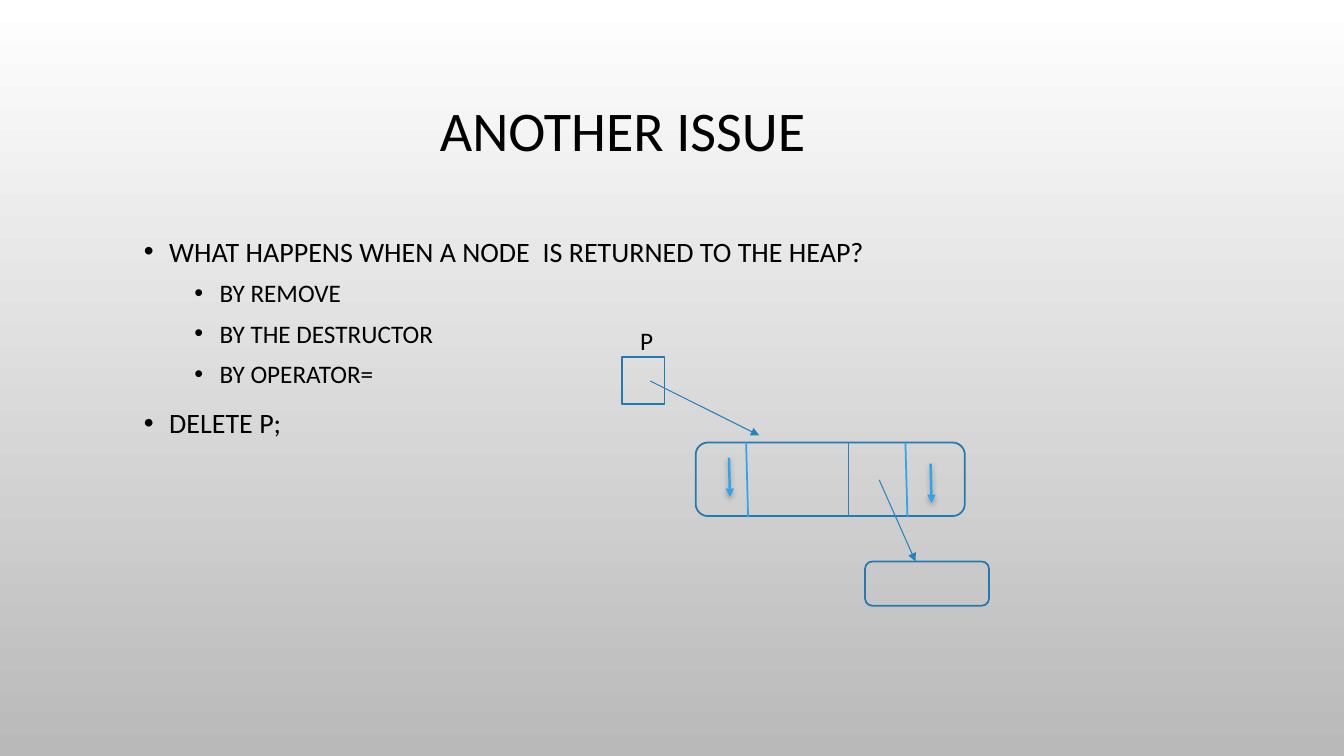
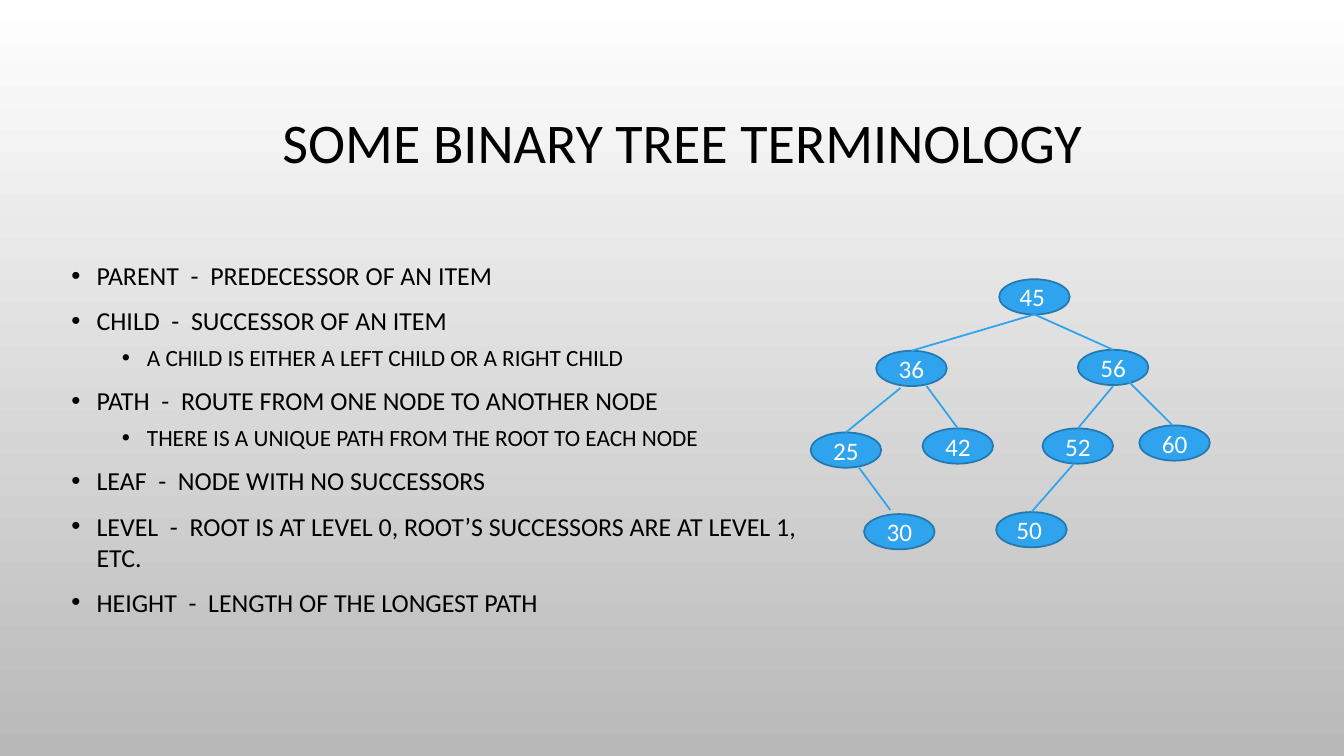
from lxml import etree
from pptx import Presentation
from pptx.dml.color import RGBColor
from pptx.enum.shapes import MSO_CONNECTOR, MSO_SHAPE
from pptx.enum.text import MSO_ANCHOR, PP_ALIGN
from pptx.oxml.ns import qn
from pptx.util import Inches, Pt

LINE = MSO_CONNECTOR.STRAIGHT
OVAL, BOX, ROUNDED = MSO_SHAPE.OVAL, MSO_SHAPE.RECTANGLE, MSO_SHAPE.ROUNDED_RECTANGLE
MIDDLE, TOP = MSO_ANCHOR.MIDDLE, MSO_ANCHOR.TOP
LEFT, CENTER = PP_ALIGN.LEFT, PP_ALIGN.CENTER

FONT = "Calibri"
BLACK, WHITE, GREY = "000000", "FFFFFF", "B9B9B9"
BLUE, OUTLINE, POINTER = "2FA3EE", "2379B0", "2683BF"
NODE_WIDTH, NODE_HEIGHT = 0.7, 0.35

# Each item is (level, text)
ISSUE_ITEMS = [
    (0, "WHAT HAPPENS WHEN A NODE  IS RETURNED TO THE HEAP?"),
    (1, "BY REMOVE"),
    (1, "BY THE DESTRUCTOR"),
    (1, "BY OPERATOR="),
    (0, "DELETE P;"),
]
TERM_ITEMS = [
    (0, "PARENT  -  PREDECESSOR OF AN ITEM"),
    (0, "CHILD  -  SUCCESSOR OF AN ITEM"),
    (1, "A CHILD IS EITHER A LEFT CHILD OR A RIGHT CHILD"),
    (0, "PATH  -  ROUTE FROM ONE NODE TO ANOTHER NODE"),
    (1, "THERE IS A UNIQUE PATH FROM THE ROOT TO EACH NODE"),
    (0, "LEAF  -  NODE WITH NO SUCCESSORS"),
    (0, "LEVEL  -  ROOT IS AT LEVEL 0, ROOT’S SUCCESSORS ARE AT LEVEL 1, ETC."),
    (0, "HEIGHT  -  LENGTH OF THE LONGEST PATH"),
]

# Tree nodes: label, left, top, alignment
TREE_NODES = [
    ("45", 9.91, 2.77, LEFT),
    ("36", 8.69, 3.48, CENTER),
    ("56", 10.69, 3.47, CENTER),
    ("42", 9.15, 4.25, CENTER),
    ("25", 8.04, 4.29, CENTER),
    ("52", 10.34, 4.25, CENTER),
    ("60", 11.3, 4.22, CENTER),
    ("30", 8.57, 5.1, CENTER),
    ("50", 9.88, 5.08, LEFT),
]
TREE_EDGES = [
    ((10.26, 3.12), (9.04, 3.48)),
    ((10.26, 3.12), (11.04, 3.47)),
    ((8.93, 3.85), (8.39, 4.29)),
    ((11.04, 3.83), (10.69, 4.25)),
    ((11.17, 3.76), (11.63, 4.22)),
    ((9.19, 3.83), (9.5, 4.25)),
    ((8.52, 4.64), (8.83, 5.06)),
    ((10.65, 4.6), (10.23, 5.08)),
]


def color(value):
    return RGBColor.from_string(value)


def style_font(paragraph, size, value=BLACK):
    paragraph.font.name = FONT
    paragraph.font.size = Pt(size)
    paragraph.font.color.rgb = color(value)


def add_slide(presentation):
    slide = presentation.slides.add_slide(presentation.slide_layouts[6])
    fill = slide.background.fill
    fill.gradient()
    fill.gradient_angle = 270
    for stop, value in zip(fill.gradient_stops, (WHITE, GREY)):
        stop.color.rgb = color(value)
    return slide


def add_text_box(slide, left, top, width, height, anchor=TOP, wrap=True):
    box = slide.shapes.add_textbox(Inches(left), Inches(top), Inches(width), Inches(height))
    box.text_frame.word_wrap = wrap
    box.text_frame.vertical_anchor = anchor
    return box.text_frame


def add_title(slide, text, left, top):
    paragraph = add_text_box(slide, left, top, 11.33, 1.75, MIDDLE).paragraphs[0]
    paragraph.text = text
    paragraph.alignment = CENTER
    paragraph.line_spacing = 0.9
    style_font(paragraph, 40)


def add_bullet(paragraph, level):
    properties = paragraph._p.get_or_add_pPr()
    properties.set("marL", str(Inches(0.25 + 0.5 * level)))
    properties.set("indent", str(Inches(-0.25)))
    bullet_color = etree.SubElement(properties, qn("a:buClr"))
    etree.SubElement(bullet_color, qn("a:srgbClr"), val=BLACK)
    etree.SubElement(properties, qn("a:buFont"), typeface="Arial")
    etree.SubElement(properties, qn("a:buChar"), char="•")


def add_bullet_list(slide, items, bounds, sizes, line_spacing):
    frame = add_text_box(slide, *bounds)
    for index, (level, text) in enumerate(items):
        paragraph = frame.add_paragraph() if index else frame.paragraphs[0]
        paragraph.text = text
        paragraph.level = level
        paragraph.line_spacing = line_spacing
        paragraph.space_before = Pt(5 if level else 10)
        add_bullet(paragraph, level)
        style_font(paragraph, sizes[level])


def add_outlined_shape(slide, kind, left, top, width, height, fill=None):
    shape = slide.shapes.add_shape(kind, Inches(left), Inches(top), Inches(width), Inches(height))
    shape.shadow.inherit = False
    shape.line.color.rgb = color(OUTLINE)
    shape.line.width = Pt(1.25)
    if fill:
        shape.fill.solid()
        shape.fill.fore_color.rgb = color(fill)
    else:
        shape.fill.background()
    return shape


def add_tree_node(slide, label, left, top, alignment):
    node = add_outlined_shape(slide, OVAL, left, top, NODE_WIDTH, NODE_HEIGHT, BLUE)
    node.text_frame.vertical_anchor = MIDDLE
    paragraph = node.text_frame.paragraphs[0]
    paragraph.text = label
    paragraph.alignment = alignment
    style_font(paragraph, 18, WHITE)


def add_line(slide, start, end, value=BLUE, width=1.25, arrow=False, shadow=False):
    points = [Inches(number) for number in (*start, *end)]
    connector = slide.shapes.add_connector(LINE, *points)
    connector.line.color.rgb = color(value)
    connector.line.width = Pt(width)
    properties = connector._element.spPr
    if arrow:
        etree.SubElement(properties.find(qn("a:ln")), qn("a:tailEnd"), type="triangle")
    effects = etree.SubElement(properties, qn("a:effectLst"))
    if shadow:
        outer = etree.SubElement(effects, qn("a:outerShdw"), blurRad=str(Pt(4)),
                                 dist=str(Pt(2)), dir="5400000", rotWithShape="0")
        shade = etree.SubElement(outer, qn("a:srgbClr"), val=BLACK)
        etree.SubElement(shade, qn("a:alpha"), val="28000")


def build_issue_slide(presentation):
    slide = add_slide(presentation)
    add_title(slide, "ANOTHER ISSUE", 0.51, 0.45)
    add_bullet_list(slide, ISSUE_ITEMS, (1.33, 2.24, 11.33, 2.3), (20, 18), 1.1)

    # Node with its field dividers, and the node it points to
    add_outlined_shape(slide, ROUNDED, 6.9, 4.39, 2.67, 0.73)
    for left in (7.4, 8.98):
        add_line(slide, (left, 4.39), (left + 0.02, 5.13))
    add_line(slide, (8.42, 4.39), (8.42, 5.13), POINTER, 0.75)
    add_line(slide, (8.72, 4.76), (9.08, 5.57), POINTER, 0.75, arrow=True)
    add_outlined_shape(slide, ROUNDED, 8.58, 5.57, 1.23, 0.44)

    # Pointer variable
    add_outlined_shape(slide, BOX, 6.17, 3.54, 0.42, 0.47)
    add_line(slide, (6.45, 3.78), (7.53, 4.32), POINTER, 0.75, arrow=True)
    label = add_text_box(slide, 6.25, 3.18, 0.33, 0.4, wrap=False).paragraphs[0]
    label.text = "P"
    style_font(label, 18)

    # Child pointers
    for left, top in ((9.23, 4.6), (7.23, 4.54)):
        add_line(slide, (left, top), (left + 0.01, top + 0.39), width=1.75,
                 arrow=True, shadow=True)


def build_terminology_slide(presentation):
    slide = add_slide(presentation)
    add_title(slide, "SOME BINARY TREE TERMINOLOGY", 1.1, 0.57)
    add_bullet_list(slide, TERM_ITEMS, (0.61, 2.53, 7.5, 3.74), (18.5, 16.6), 1.0)
    for node in TREE_NODES:
        add_tree_node(slide, *node)
    for start, end in TREE_EDGES:
        add_line(slide, start, end)


def main():
    presentation = Presentation()
    presentation.slide_width = Inches(13.33)
    presentation.slide_height = Inches(7.5)
    build_issue_slide(presentation)
    build_terminology_slide(presentation)
    presentation.save("out.pptx")


main()
